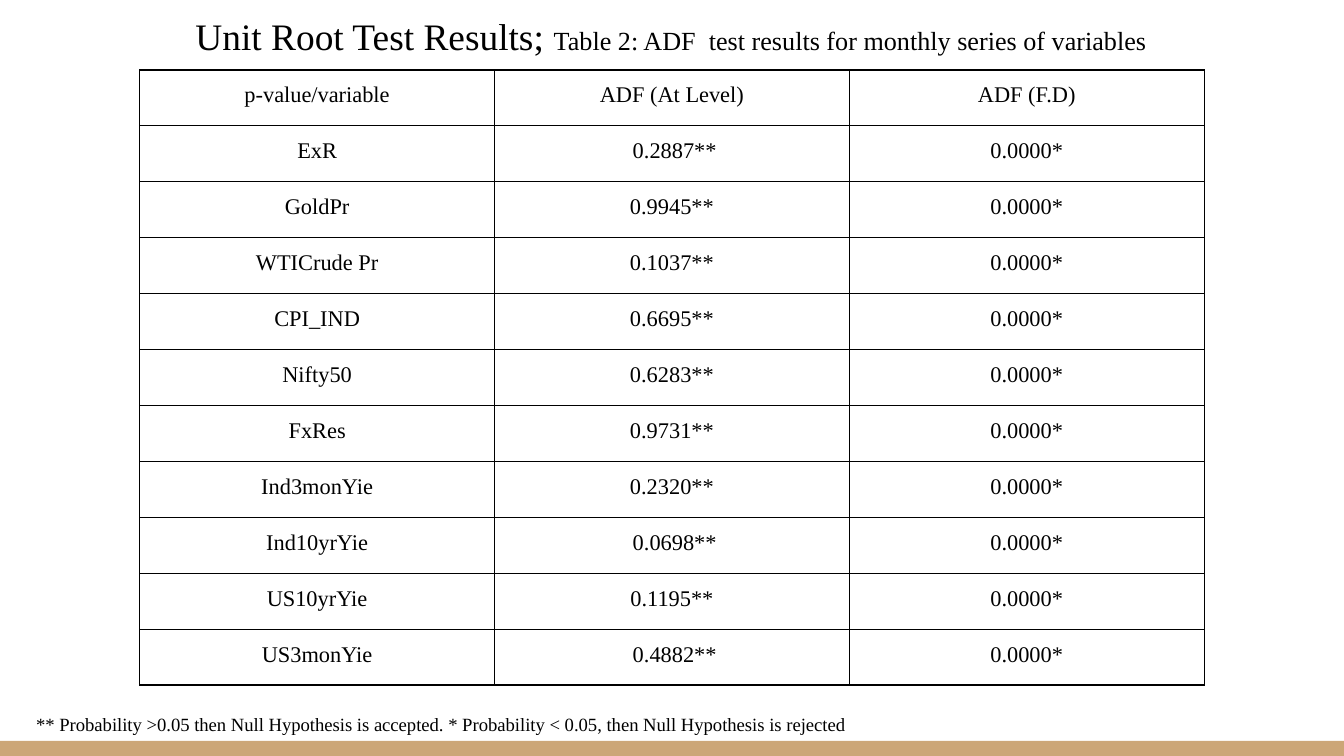
from dataclasses import dataclass

from lxml.etree import SubElement
from pptx import Presentation
from pptx.dml.color import RGBColor as Rgb
from pptx.enum.shapes import MSO_SHAPE as Shape
from pptx.enum.text import MSO_ANCHOR as Anchor, PP_ALIGN as Align
from pptx.oxml.ns import qn
from pptx.util import Inches, Pt


@dataclass(frozen=True)
class Theme:
    font: str = "Times New Roman"
    ink: str = "000000"
    paper: str = "FFFFFF"
    accent: str = "CCA677"
    title_size: int = 20
    subtitle_size: int = 14
    table_size: int = 12
    note_size: int = 10
    border: float = 0.75
    line_spacing: float = 1.15
    paragraph_gap: int = 12
    text_inset: float = 0.1
    cell_inset: float = 0.07


@dataclass(frozen=True)
class Box:
    left: float
    top: float
    width: float
    height: float

    def emu(self):
        return [Inches(side) for side in (self.left, self.top, self.width, self.height)]


THEME = Theme()
WIDTH = 10
HEIGHT = WIDTH * 9 / 16

HEADINGS = ("p-value/variable", "ADF (At Level)", "ADF (F.D)")
FIRST_DIFFERENCE = "0.0000*"
LEVEL_RESULTS = (
    ("ExR", " 0.2887**"),
    ("GoldPr", "0.9945**"),
    ("WTICrude Pr", "0.1037**"),
    ("CPI_IND", "0.6695**"),
    ("Nifty50", "0.6283**"),
    ("FxRes", "0.9731**"),
    ("Ind3monYie", "0.2320**"),
    ("Ind10yrYie", " 0.0698**"),
    ("US10yrYie", "0.1195**"),
    ("US3monYie", " 0.4882**"),
)


def add_run(paragraph, wording, size):
    run = paragraph.add_run()
    run.text = wording
    run.font.name = THEME.font
    run.font.size = Pt(size)
    run.font.color.rgb = Rgb.from_string(THEME.ink)


def set_margins(holder, inset):
    holder.margin_left = holder.margin_right = Inches(inset)
    holder.margin_top = holder.margin_bottom = Inches(inset)


def add_paragraph_box(slide, box, align):
    frame = slide.shapes.add_textbox(*box.emu()).text_frame
    frame.word_wrap = True
    frame.vertical_anchor = Anchor.TOP
    set_margins(frame, THEME.text_inset)
    paragraph = frame.paragraphs[0]
    paragraph.alignment = align
    return paragraph


def outline_cell(cell):
    properties = cell._tc.get_or_add_tcPr()
    for position, side in enumerate(("a:lnL", "a:lnR", "a:lnT", "a:lnB")):
        line = SubElement(properties, qn(side), w=str(Pt(THEME.border)))
        fill = SubElement(line, qn("a:solidFill"))
        SubElement(fill, qn("a:srgbClr"), val=THEME.ink)
        properties.insert(position, line)


def add_footer_band(slide, box):
    band = slide.shapes.add_shape(Shape.RECTANGLE, *box.emu())
    band.shadow.inherit = False
    band.fill.solid()
    band.fill.fore_color.rgb = Rgb.from_string(THEME.accent)
    band.line.fill.background()


def add_title(slide, box):
    title = add_paragraph_box(slide, box, Align.CENTER)
    add_run(title, "Unit Root Test Results; ", THEME.title_size)
    add_run(
        title,
        "Table 2: ADF  test results for monthly series of variables",
        THEME.subtitle_size,
    )


def fill_cell(cell, wording):
    cell.fill.background()
    outline_cell(cell)
    set_margins(cell, THEME.cell_inset)
    cell.vertical_anchor = Anchor.TOP
    paragraph = cell.text_frame.paragraphs[0]
    paragraph.alignment = Align.CENTER
    paragraph.line_spacing = THEME.line_spacing
    paragraph.space_before = paragraph.space_after = Pt(THEME.paragraph_gap)
    add_run(paragraph, wording, THEME.table_size)


def add_results_table(slide, box):
    records = [HEADINGS, *((*result, FIRST_DIFFERENCE) for result in LEVEL_RESULTS)]
    results = slide.shapes.add_table(len(records), len(HEADINGS), *box.emu()).table
    results.first_row = results.horz_banding = False
    for column in results.columns:
        column.width = Inches(box.width / len(HEADINGS))
    for row, record in zip(results.rows, records):
        row.height = Inches(box.height / len(records))
        for cell, wording in zip(row.cells, record):
            fill_cell(cell, wording)


def add_footnote(slide, box):
    note = add_paragraph_box(slide, box, Align.JUSTIFY)
    note.line_spacing = THEME.line_spacing
    note.space_before = Pt(THEME.paragraph_gap)
    add_run(
        note,
        "** Probability >0.05 then Null Hypothesis is accepted. "
        "* Probability < 0.05, then Null Hypothesis is rejected",
        THEME.note_size,
    )


def main():
    deck = Presentation()
    deck.slide_width, deck.slide_height = Inches(WIDTH), Inches(HEIGHT)
    slide = deck.slides.add_slide(deck.slide_layouts[6])
    slide.background.fill.solid()
    slide.background.fill.fore_color.rgb = Rgb.from_string(THEME.paper)

    band_height = 0.02 * HEIGHT
    add_footer_band(slide, Box(0, HEIGHT - band_height, WIDTH, band_height))
    add_title(slide, Box(0.14, 0, 9.71, 1.05))
    add_results_table(slide, Box(1.04, 0.52, 7.92, 4.58))
    add_footnote(slide, Box(0.17, 5.18, 9.71, 0.26))
    deck.save("out.pptx")


if __name__ == "__main__":
    main()
